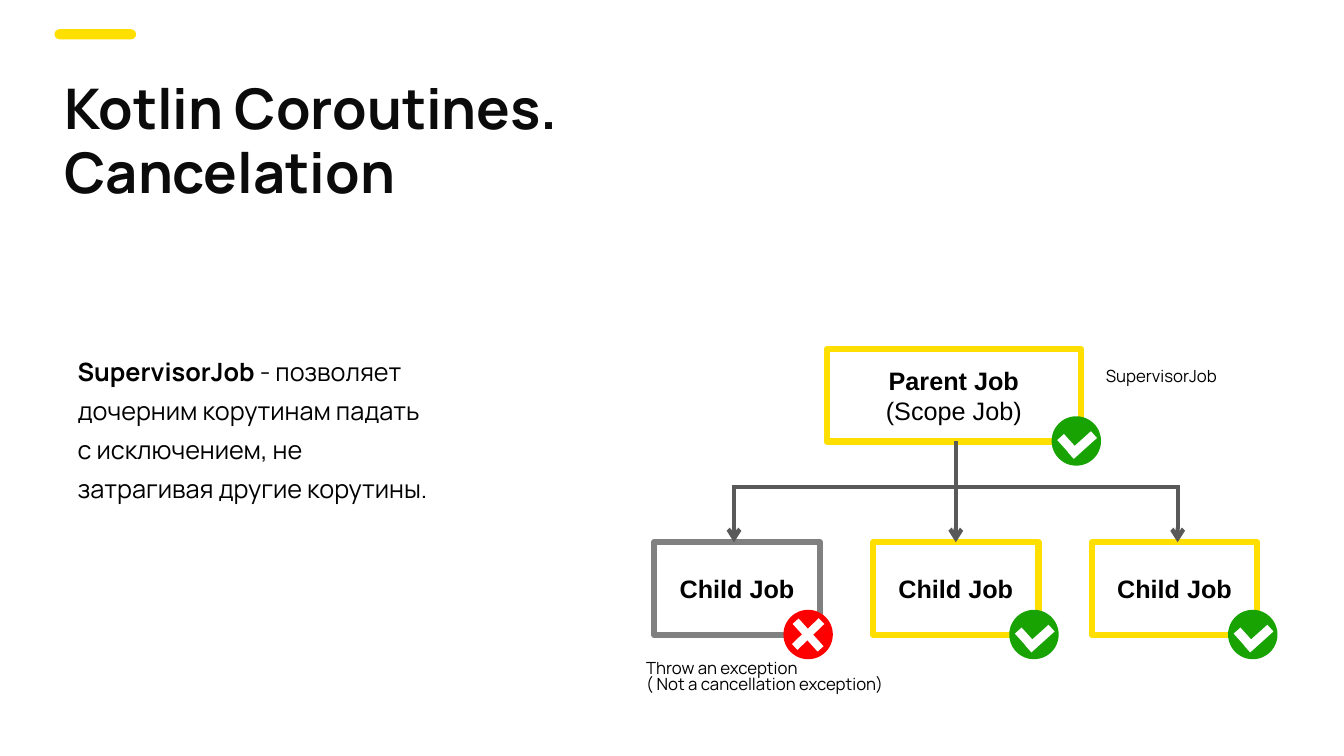
from lxml.etree import SubElement
from pptx import Presentation
from pptx.dml.color import RGBColor
from pptx.enum.shapes import MSO_CONNECTOR, MSO_SHAPE
from pptx.enum.text import MSO_ANCHOR, MSO_AUTO_SIZE, PP_ALIGN
from pptx.oxml.ns import qn
from pptx.util import Inches, Pt

YELLOW, GREY, DARK = "FFDF00", "808080", "595959"
GREEN, RED, WHITE, BLACK = "18A303", "FF0000", "FFFFFF", "000000"

# Bars of each badge mark: left, top, width, height, rotation
MARKS = {
    GREEN: [(0.05, 0.25, 0.24, 0.09, 228), (0.15, 0.24, 0.31, 0.09, 138)],
    RED: [(0.06, 0.20, 0.37, 0.08, 316), (0.06, 0.21, 0.37, 0.08, 228)],
}


def rgb(value):
    return RGBColor.from_string(value)


def set_frame(tf, anchor=MSO_ANCHOR.TOP):
    formats = {"word_wrap": True, "auto_size": MSO_AUTO_SIZE.NONE, "vertical_anchor": anchor,
               "margin_left": Inches(0.1), "margin_right": Inches(0.1),
               "margin_top": Inches(0.05), "margin_bottom": Inches(0.05)}
    for name, value in formats.items():
        setattr(tf, name, value)


def write(p, runs, size, font="Manrope", color=BLACK, spacing=1.0, align=PP_ALIGN.LEFT):
    """Fill a paragraph with (text, bold) runs."""
    formats = {"alignment": align, "line_spacing": spacing,
               "space_before": Pt(0), "space_after": Pt(0)}
    for name, value in formats.items():
        setattr(p, name, value)
    for text, bold in runs:
        r = p.add_run()
        r.text = text
        for name, value in {"name": font, "size": Pt(size), "bold": bold}.items():
            setattr(r.font, name, value)
        r.font.color.rgb = rgb(color)


def place(sp, box):
    for name, value in zip(("left", "top", "width", "height"), box):
        setattr(sp, name, Inches(value))


def add_solid(slide, kind, box, fill, rotation=0):
    sp = slide.shapes.add_shape(kind, *map(Inches, box))
    sp.shadow.inherit = False
    sp.fill.solid()
    sp.fill.fore_color.rgb = rgb(fill)
    sp.line.fill.background()
    sp.rotation = rotation
    return sp


def add_line(slide, x1, y1, x2, y2, arrow=True):
    sp = slide.shapes.add_connector(MSO_CONNECTOR.STRAIGHT, *map(Inches, (x1, y1, x2, y2)))
    sp.line.color.rgb = rgb(DARK)
    sp.line.width = Pt(3)
    if arrow:
        SubElement(sp.line._get_or_add_ln(), qn("a:tailEnd"), type="arrow")
    SubElement(sp._element.spPr, qn("a:effectLst"))


def add_heading(slide, box):
    # Accent bar above the title
    left, top = box[:2]
    bar = add_solid(slide, MSO_SHAPE.ROUNDED_RECTANGLE, (left, top - 0.43, 0.81, 0.1), YELLOW)
    bar.adjustments[0] = 0.5
    # Title
    sp = slide.shapes.title
    place(sp, box)
    set_frame(sp.text_frame)
    write(sp.text_frame.paragraphs[0], [("Kotlin Coroutines. Cancelation", True)],
          40, color="0B0B0B", spacing=0.96)


def add_definition(slide, box):
    sp = slide.placeholders[1]
    place(sp, box)
    set_frame(sp.text_frame)
    p = sp.text_frame.paragraphs[0]
    write(p, [("SupervisorJob", True),
              (" - позволяет дочерним корутинам падать с исключением, "
               "не затрагивая другие корутины.", False)], 18, spacing=1.3)
    pPr = p._p.get_or_add_pPr()
    pPr.set("marL", "0")
    pPr.set("indent", "0")
    SubElement(pPr, qn("a:buNone"))


def add_job(slide, box, lines, color):
    sp = slide.shapes.add_shape(MSO_SHAPE.RECTANGLE, *map(Inches, box))
    sp.shadow.inherit = False
    sp.fill.background()
    sp.line.color.rgb = rgb(color)
    sp.line.width = Pt(4.5)
    tf = sp.text_frame
    set_frame(tf, MSO_ANCHOR.MIDDLE)
    for i, run in enumerate(lines):
        p = tf.add_paragraph() if i else tf.paragraphs[0]
        write(p, [run], 18, font="Arial", align=PP_ALIGN.CENTER)


def add_badge(slide, job_box, color, inset=0.29):
    """Round mark on the lower right corner of a job."""
    left, top, width, height = job_box
    x, y = left + width - inset, top + height - 0.25
    add_solid(slide, MSO_SHAPE.OVAL, (x, y, 0.49, 0.49), color)
    for dx, dy, w, h, rotation in MARKS[color]:
        add_solid(slide, MSO_SHAPE.RECTANGLE, (x + dx, y + dy, w, h), WHITE, rotation)


def add_note(slide, box, lines):
    tf = slide.shapes.add_textbox(*map(Inches, box)).text_frame
    set_frame(tf)
    for i, (text, spacing) in enumerate(lines):
        p = tf.add_paragraph() if i else tf.paragraphs[0]
        write(p, [(text, False)], 12, spacing=spacing)


def add_job_tree(slide, box):
    left, top, width, height = box
    job_h, child_w = 0.92, 1.64
    step = (width - child_w) / 2
    center = left + width / 2
    child_top = top + height - job_h
    parent = (center - 1.28, top, 2.52, job_h)
    children = [(left + i * step, child_top, child_w, job_h) for i in range(3)]

    # Jobs
    add_job(slide, parent, [("Parent Job", True), ("(Scope Job)", False)], YELLOW)
    for child, color in zip(children, (GREY, YELLOW, YELLOW)):
        add_job(slide, child, [("Child Job", True)], color)

    # Branches from parent to children
    reach, branch_y = 2.2, top + 1.37
    add_line(slide, center, top + job_h, center, child_top)
    for x in (center - reach, center + reach):
        add_line(slide, x, branch_y, x, child_top)
    add_line(slide, center - reach - 0.02, branch_y, center + reach + 0.02, branch_y, arrow=False)

    # State badges
    add_badge(slide, children[0], RED, inset=0.36)
    for job in (parent, *children[1:]):
        add_badge(slide, job, GREEN)

    # Notes
    add_note(slide, (left - 0.18, top + height + 0.23, 2.59, 0.56),
             [("Throw an exception", 0.7), ("( Not a cancellation exception)", 0.8)])
    add_note(slide, (parent[0] + parent[2] + 0.15, top + 0.17, 1.4, 0.33),
             [("SupervisorJob", 0.7)])


def main():
    prs = Presentation()
    prs.slide_width, prs.slide_height = Inches(13.33), Inches(7.5)
    slide = prs.slides.add_slide(prs.slide_layouts[1])
    add_heading(slide, (0.54, 0.72, 7.83, 1.31))
    add_definition(slide, (0.67, 3.39, 3.77, 2.02))
    add_job_tree(slide, (6.49, 3.46, 5.98, 2.84))
    prs.save("out.pptx")


if __name__ == "__main__":
    main()
